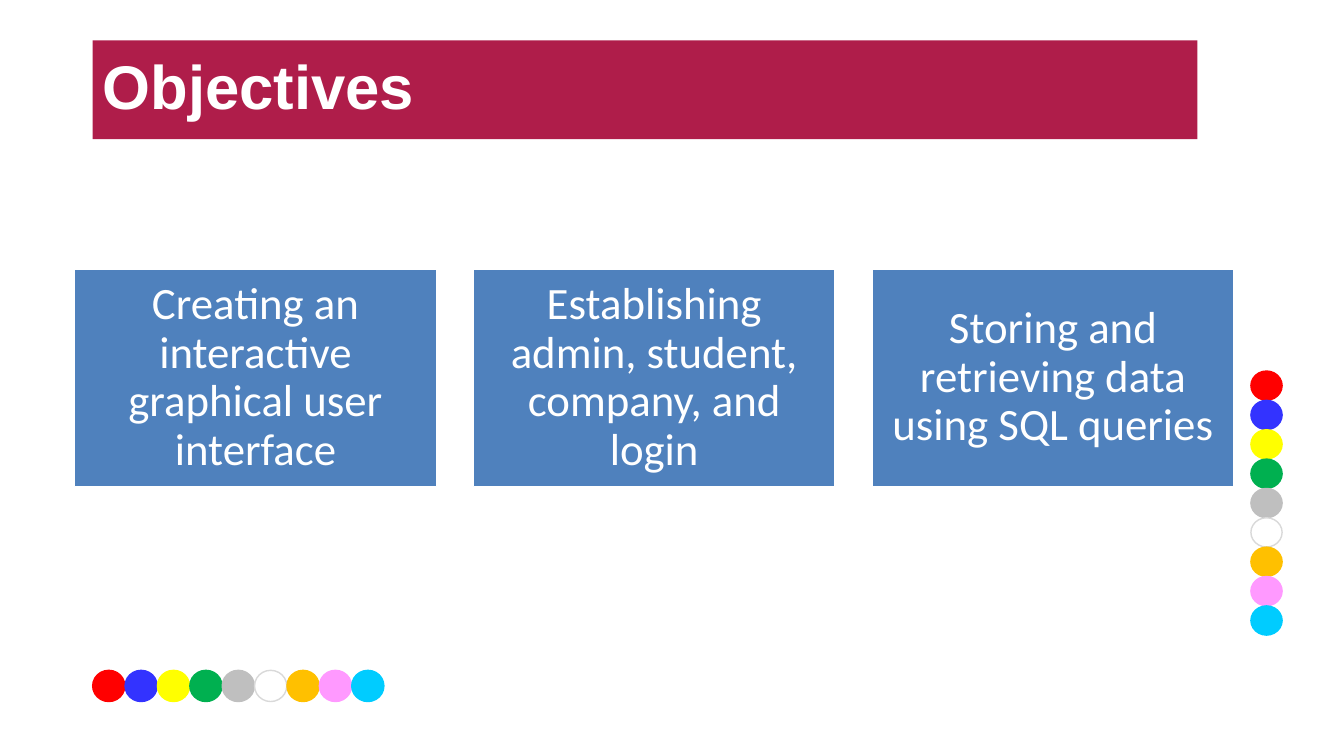
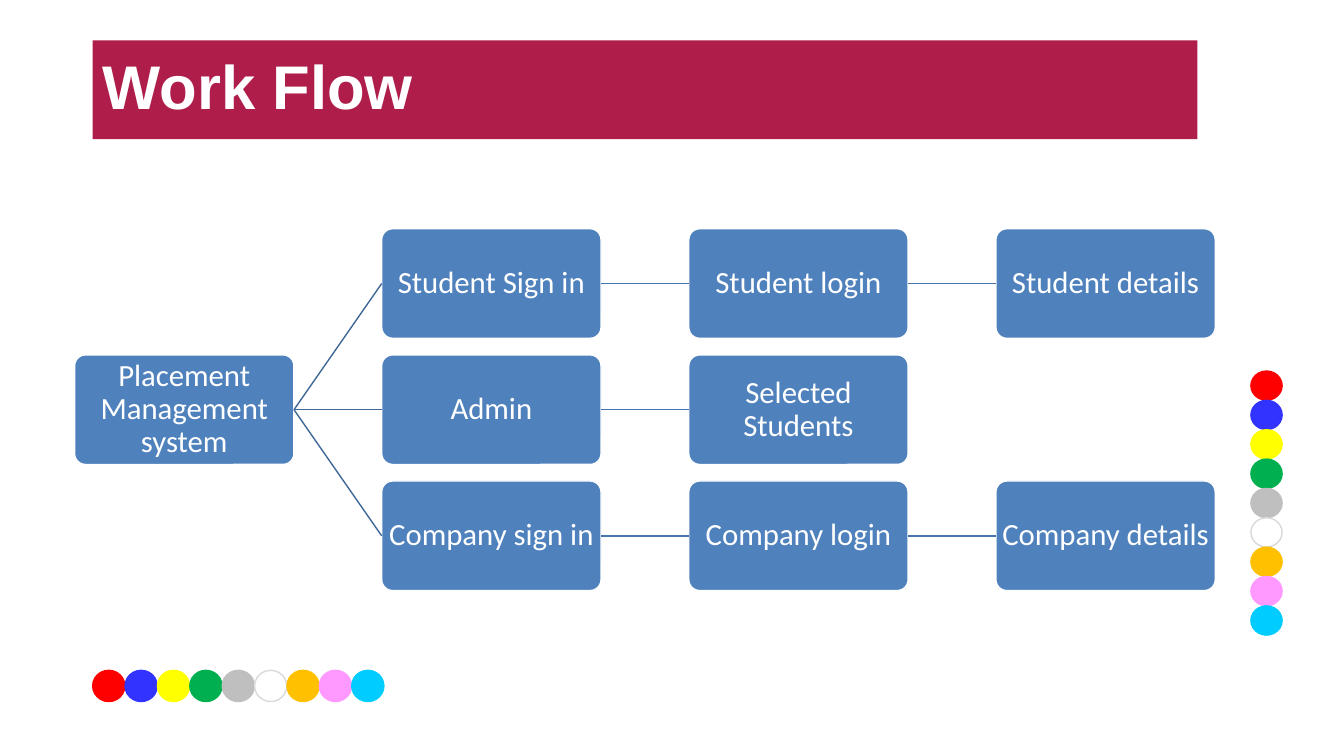
"""Build the Objectives and Work Flow slides of a placement management deck."""
from dataclasses import dataclass
from typing import Any

import pptx
import pptx.dml.color
import pptx.enum.shapes
import pptx.enum.text
import pptx.oxml
import pptx.oxml.ns
import pptx.util

Pt = pptx.util.Pt
Shapes = pptx.enum.shapes.MSO_SHAPE
Align = pptx.enum.text.PP_ALIGN


@dataclass(frozen=True)
class Theme:
    banner: str = "AF1D4A"
    box: str = "4F81BD"
    white: str = "FFFFFF"
    dot_outline: str = "D9D9D9"
    first_link: str = "3F6797"
    later_link: str = "4875AC"
    dots: tuple[str, ...] = (
        "FF0000", "3333FF", "FFFF00", "00B050", "BFBFBF",
        "FFFFFF", "FFC000", "FF99FF", "00CCFF",
    )
    title_font: str = "Arial"
    body_font: str = "Calibri"
    title_size: float = 44
    card_size: float = 32
    node_size: float = 22
    line_width: float = 1
    line_spacing: float = 0.9


@dataclass(frozen=True)
class Frame:
    left: float
    top: float
    width: float
    height: float

    def shifted(self, right: float = 0, down: float = 0) -> "Frame":
        return Frame(self.left + right, self.top + down, self.width, self.height)

    def lengths(self) -> tuple[Any, ...]:
        return Pt(self.left), Pt(self.top), Pt(self.width), Pt(self.height)


@dataclass(frozen=True)
class DotStrip:
    first: Frame
    step_right: float = 0
    step_down: float = 0


@dataclass(frozen=True)
class Node:
    text: str
    column: int
    row: int


THEME = Theme()
TITLE_FRAME = Frame(66.2, 28.8, 789.1, 70.6)
DOT_STRIPS = (
    DotStrip(Frame(893.5, 265, 22.3, 20.9), step_down=20.97),
    DotStrip(Frame(66.2, 478.8, 23, 22.3), step_right=23.13),
)
CARD_FRAME = Frame(53.3, 192.2, 258.5, 155.5)
CARD_STEP = 284.8
CARD_INSET = 9.6
CARDS = (
    "Creating an interactive graphical user interface",
    "Establishing admin, student, company, and login",
    "Storing and retrieving data using SQL queries",
)
NODE_FRAME = Frame(53.3, 163.4, 156.7, 78.3)
NODE_STEP_RIGHT = 219.36
NODE_STEP_DOWN = 90.1
NODE_INSET = 1.4
ROOT = Node("Placement Management system", 0, 1)
BRANCHES = (
    ("Student Sign in", "Student login", "Student details"),
    ("Admin", "Selected Students"),
    ("Company sign in", "Company login", "Company details"),
)


def color(value: str) -> pptx.dml.color.RGBColor:
    return pptx.dml.color.RGBColor.from_string(value)


def write_text(shape: Any, text: str, *, font: str, size: float, bold: bool = False,
               align: Any = Align.CENTER, inset: float | None = None) -> None:
    frame = shape.text_frame
    frame.word_wrap = True
    frame.auto_size = pptx.enum.text.MSO_AUTO_SIZE.NONE
    frame.vertical_anchor = pptx.enum.text.MSO_ANCHOR.MIDDLE
    if inset is not None:
        frame.margin_left = frame.margin_right = Pt(inset)
        frame.margin_top = frame.margin_bottom = Pt(inset)
    paragraph = frame.paragraphs[0]
    paragraph.alignment = align
    paragraph.line_spacing = THEME.line_spacing
    run = paragraph.add_run()
    run.text = text
    run.font.name = font
    run.font.size = Pt(size)
    run.font.bold = bold
    run.font.color.rgb = color(THEME.white)


def add_shape(shapes: Any, kind: Any, frame: Frame, fill: str, outline: str) -> Any:
    shape = shapes.add_shape(kind, *frame.lengths())
    shape.shadow.inherit = False
    shape.fill.solid()
    shape.fill.fore_color.rgb = color(fill)
    shape.line.color.rgb = color(outline)
    shape.line.width = Pt(THEME.line_width)
    return shape


def add_dots_to_layout(layout: Any, slide: Any) -> None:
    for strip in DOT_STRIPS:
        group = slide.shapes.add_group_shape()
        for index, fill in enumerate(THEME.dots):
            frame = strip.first.shifted(index * strip.step_right, index * strip.step_down)
            outline = THEME.dot_outline if fill == THEME.white else fill
            add_shape(group.shapes, Shapes.FLOWCHART_CONNECTOR, frame, fill, outline)
        layout.shapes.element.append(group.element)
    properties = layout.element.iter(pptx.oxml.ns.qn("p:cNvPr"))
    for number, item in enumerate(properties, start=1):
        item.set("id", str(number))


def add_titled_slide(presentation: Any, layout: Any, text: str) -> Any:
    slide = presentation.slides.add_slide(layout)
    title = slide.shapes.title
    title.left, title.top, title.width, title.height = TITLE_FRAME.lengths()
    title.fill.solid()
    title.fill.fore_color.rgb = color(THEME.banner)
    write_text(title, text, font=THEME.title_font, size=THEME.title_size, bold=True,
               align=Align.LEFT)
    return slide


def add_cards(slide: Any) -> None:
    for index, text in enumerate(CARDS):
        frame = CARD_FRAME.shifted(right=index * CARD_STEP)
        card = add_shape(slide.shapes, Shapes.RECTANGLE, frame, THEME.box, THEME.white)
        write_text(card, text, font=THEME.body_font, size=THEME.card_size, inset=CARD_INSET)


def add_node(slide: Any, node: Node) -> Any:
    frame = NODE_FRAME.shifted(node.column * NODE_STEP_RIGHT, node.row * NODE_STEP_DOWN)
    shape = add_shape(slide.shapes, Shapes.ROUNDED_RECTANGLE, frame, THEME.box, THEME.white)
    shape.adjustments[0] = 0.1
    write_text(shape, node.text, font=THEME.body_font, size=THEME.node_size, inset=NODE_INSET)
    return shape


def add_link(slide: Any, parent: Any, child: Any, line_color: str) -> None:
    right_side, left_side = 3, 1
    link = slide.shapes.add_connector(pptx.enum.shapes.MSO_CONNECTOR.STRAIGHT, 0, 0, 0, 0)
    link.begin_connect(parent, right_side)
    link.end_connect(child, left_side)
    link.line.color.rgb = color(line_color)
    link.line.width = Pt(THEME.line_width)
    link.element.spPr.append(pptx.oxml.parse_xml(
        f"<a:effectLst {pptx.oxml.ns.nsdecls('a')}/>"))


def add_work_flow(slide: Any) -> None:
    root = add_node(slide, ROOT)
    for row, branch in enumerate(BRANCHES):
        parent = root
        for column, text in enumerate(branch, start=1):
            child = add_node(slide, Node(text, column, row))
            line_color = THEME.first_link if column == 1 else THEME.later_link
            add_link(slide, parent, child, line_color)
            parent = child


def main() -> None:
    presentation = pptx.Presentation()
    presentation.slide_width, presentation.slide_height = Pt(960), Pt(540)
    layout = presentation.slide_layouts.get_by_name("Title Only")
    objectives = add_titled_slide(presentation, layout, "Objectives")
    add_dots_to_layout(layout, objectives)
    add_cards(objectives)
    add_work_flow(add_titled_slide(presentation, layout, "Work Flow"))
    presentation.save("out.pptx")


main()
